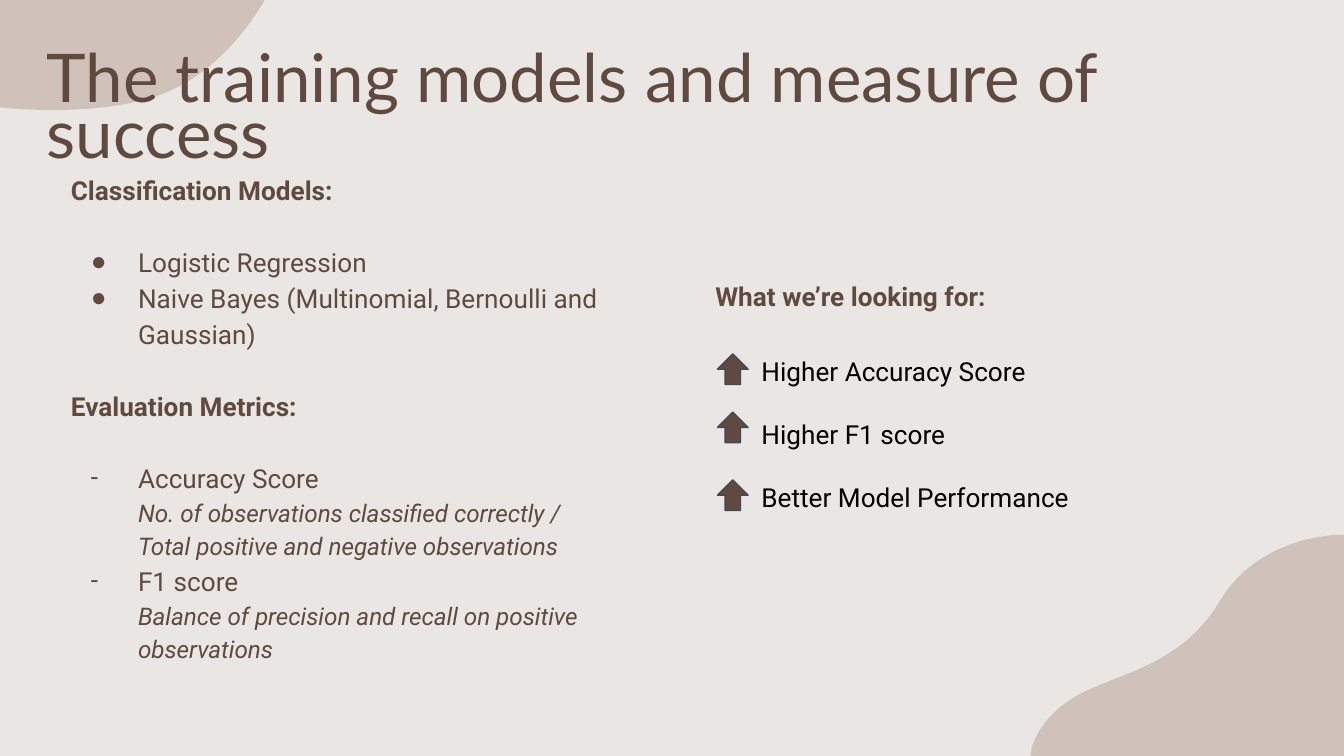
"""Build a slide on training models and the measure of success."""
from lxml import etree
from pptx import Presentation
from pptx.dml.color import RGBColor
from pptx.enum import shapes, text
from pptx.oxml import ns
from pptx.util import Cm, Pt

BROWN = RGBColor(0x60, 0x4A, 0x40)
BLACK = RGBColor(0, 0, 0)
SLATE = RGBColor(0x45, 0x48, 0x57)
SAND = RGBColor(0xD0, 0xC2, 0xBA)
PAPER = RGBColor(0xE9, 0xE6, 0xE4)
GAP = 19.3

MODELS = [
    ("Classification Models:", dict(bold=True)),
    ("Logistic Regression", dict(mark="●", before=GAP)),
    ("Naive Bayes (Multinomial, Bernoulli and Gaussian)", dict(mark="●")),
    ("Evaluation Metrics:", dict(bold=True, before=GAP)),
    ("Accuracy Score", dict(mark="-", before=GAP)),
    ("No. of observations classified correctly / "
     "Total positive and negative observations",
     dict(size=13, italic=True, inset=True)),
    ("F1 score", dict(mark="-")),
    ("Balance of precision and recall on positive observations",
     dict(size=13, italic=True, inset=True)),
]
GOALS = [
    ("Higher Accuracy Score", dict(color=BLACK, lead=1)),
    ("Higher F1 score", dict(color=BLACK, lead=1, before=16.9)),
    ("Better Model Performance", dict(color=BLACK, lead=1, before=16.9)),
]


def add_mark(props, mark):
    """Give a paragraph a brown bullet character."""
    tint = etree.SubElement(props, ns.qn("a:buClr"))
    etree.SubElement(tint, ns.qn("a:srgbClr"), val=str(BROWN))
    face = "Arial" if mark == "●" else "Roboto"
    etree.SubElement(props, ns.qn("a:buFont"), typeface=face)
    etree.SubElement(props, ns.qn("a:buChar"), char=mark)


def write(para, words, size=14, face="Roboto", color=BROWN, bold=False,
          italic=False, lead=1.15, before=0, mark=None, inset=False):
    """Fill a paragraph with formatted words."""
    props = para._p.get_or_add_pPr()
    if mark or inset:
        props.set("marL", str(Cm(1.27)))
        props.set("indent", str(Cm(-0.89) if mark else 0))
    if mark:
        add_mark(props, mark)
    para.alignment = text.PP_ALIGN.LEFT
    para.line_spacing = lead
    para.space_before = Pt(before)
    run = para.add_run()
    run.text = words
    font = run.font
    font.size, font.name = Pt(size), face
    font.bold, font.italic = bold, italic
    font.color.rgb = color


def set_frame(shape, box):
    """Place a text shape and return its prepared frame."""
    shape.left, shape.top, shape.width, shape.height = map(Cm, box)
    frame = shape.text_frame
    frame.word_wrap = True
    frame.auto_size = text.MSO_AUTO_SIZE.NONE
    frame.vertical_anchor = text.MSO_ANCHOR.TOP
    frame.margin_left = frame.margin_right = Cm(0.25)
    frame.margin_top = frame.margin_bottom = Cm(0.25)
    return frame


def add_list(slide, box, lines):
    """Add a text box with one paragraph per line."""
    frame = set_frame(slide.shapes.add_textbox(*map(Cm, box)), box)
    for i, (words, style) in enumerate(lines):
        para = frame.add_paragraph() if i else frame.paragraphs[0]
        write(para, words, **style)


def bend(blob, edges):
    """Turn each three lines after the straight edges into one curve."""
    lines = list(blob._element.iter(ns.qn("a:lnTo")))[edges:]
    for i in range(0, len(lines) - 2, 3):
        curve = etree.Element(ns.qn("a:cubicBezTo"))
        lines[i].addprevious(curve)
        for line in lines[i:i + 3]:
            curve.append(line[0])
            line.getparent().remove(line)


def add_blob(slide, edge, curves):
    """Add a sand blob with straight edges closed by curves."""
    first, *rest = [(Cm(x), Cm(y)) for x, y in edge + curves]
    build = slide.shapes.build_freeform(*first)
    build.add_line_segments(rest, close=True)
    blob = build.convert_to_shape()
    bend(blob, len(edge) - 1)
    blob.shadow.inherit = False
    blob.fill.solid()
    blob.fill.fore_color.rgb = SAND
    blob.line.fill.background()


def add_arrow(slide, top):
    """Add a small upward arrow beside a goal."""
    arrow = slide.shapes.add_shape(
        shapes.MSO_SHAPE.UP_ARROW, Cm(13.56), Cm(top), Cm(0.58), Cm(0.58))
    arrow.shadow.inherit = False
    arrow.fill.solid()
    arrow.fill.fore_color.rgb = BROWN
    arrow.line.color.rgb = SLATE
    arrow.line.width = Pt(0.75)


def add_title(slide, words):
    """Format the title and bring it in front of the blobs."""
    title = slide.shapes.title
    frame = set_frame(title, (0.63, 0.83, 22.86, 1.6))
    write(frame.paragraphs[0], words, size=36, face="Lato", lead=0.7)
    slide.shapes._spTree.append(title._element)


def main():
    """Build and save the slide."""
    deck = Presentation()
    deck.slide_width, deck.slide_height = Cm(25.4), Cm(14.29)
    slide = deck.slides.add_slide(deck.slide_layouts[5])
    slide.background.fill.solid()
    slide.background.fill.fore_color.rgb = PAPER
    add_blob(slide, [(25.35, 10.11), (25.4, 10.11), (25.4, 14.29), (19.48, 14.29)], [
        (19.48, 14.29), (19.46, 13.76), (20.22, 13.23),
        (20.98, 12.73), (22.28, 12.67), (23.06, 11.35),
        (23.77, 10.19), (25.1, 10.11), (25.35, 10.11)])
    add_blob(slide, [(5, 0), (0, 0), (0, 2.03)], [
        (0, 2.03), (0.41, 2.08), (1.02, 2.08),
        (1.57, 2.08), (2.29, 2.03), (2.92, 1.83),
        (4.27, 1.4), (5, 0), (5, 0)])
    add_list(slide, (1.09, 2.95, 10.64, 11.1), MODELS)
    add_title(slide, "The training models and measure of success")
    add_list(slide, (13.27, 4.96, 11.63, 1.12),
             [("What we’re looking for:", dict(bold=True))])
    add_list(slide, (14.14, 6.47, 10.64, 3.5), GOALS)
    for top in (6.69, 7.79, 9.07):
        add_arrow(slide, top)
    deck.save("out.pptx")


if __name__ == "__main__":
    main()
